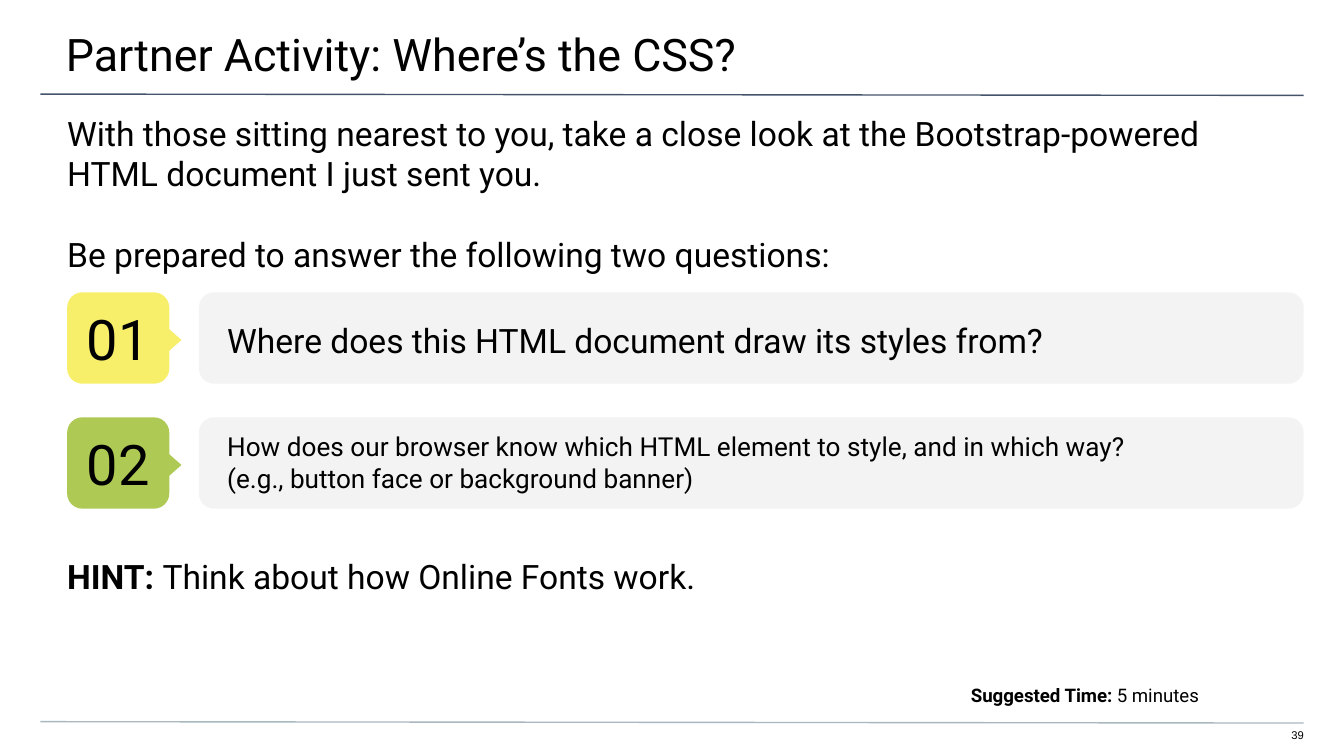
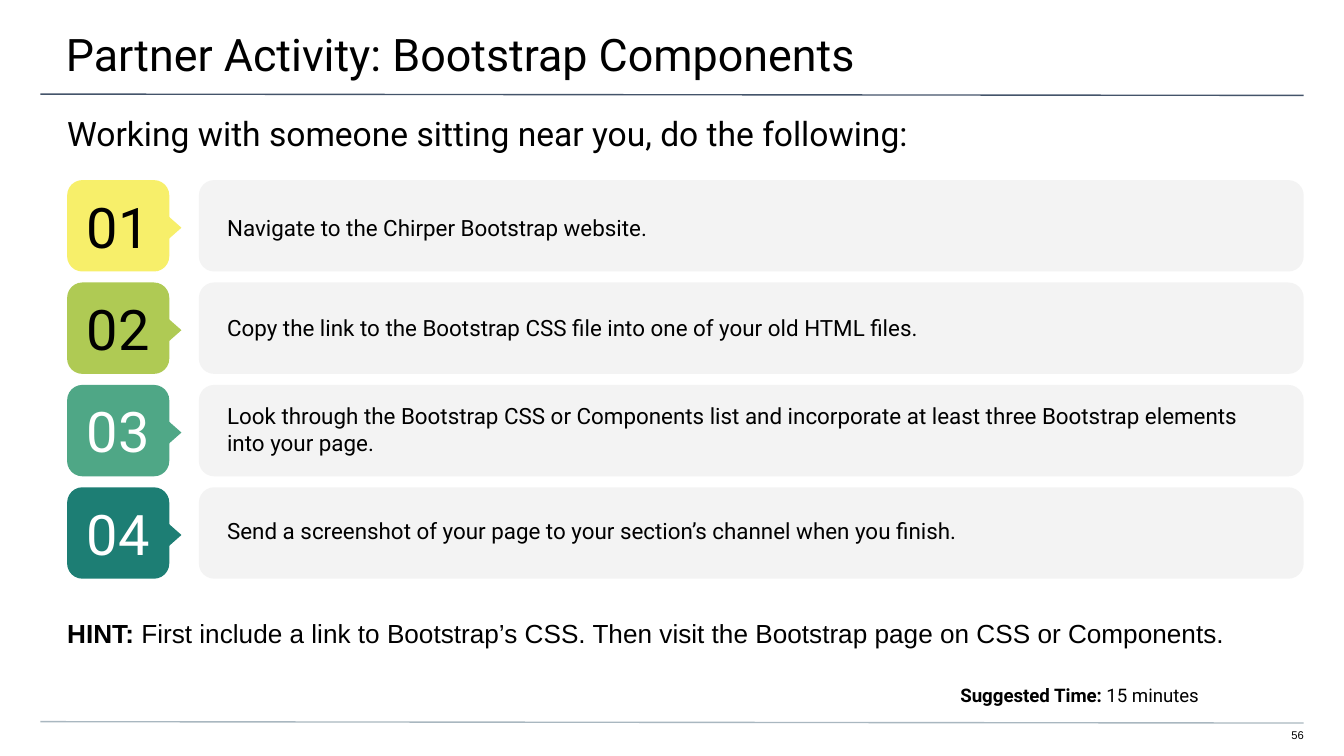
"""Build two partner activity slides with numbered steps."""
from lxml import etree
from pptx import Presentation
from pptx import util as u
from pptx.dml.color import RGBColor
from pptx.enum import shapes, text as t
from pptx.oxml.ns import qn

BLACK = RGBColor(0x00, 0x00, 0x00)
WHITE = RGBColor(0xFF, 0xFF, 0xFF)
GRAY = RGBColor(0xF3, 0xF3, 0xF3)
NAVY = RGBColor(0x44, 0x54, 0x6A)
MIST = RGBColor(0xA9, 0xB7, 0xC0)
YELLOW = RGBColor(0xF7, 0xEF, 0x6A)
LIME = RGBColor(0xAF, 0xCA, 0x54)
GREEN = RGBColor(0x4F, 0xA7, 0x86)
TEAL = RGBColor(0x1D, 0x7E, 0x74)
BADGES = [(YELLOW, BLACK), (LIME, BLACK), (GREEN, WHITE), (TEAL, WHITE)]

TOP, MID = t.MSO_ANCHOR.TOP, t.MSO_ANCHOR.MIDDLE
LEFT, CENTER, RIGHT = t.PP_ALIGN.LEFT, t.PP_ALIGN.CENTER, t.PP_ALIGN.RIGHT
ROUND = shapes.MSO_SHAPE.ROUNDED_RECTANGLE
ARROW = shapes.MSO_SHAPE.FLOWCHART_EXTRACT

deck = Presentation()
deck.slide_width = u.Inches(10)
deck.slide_height = deck.slide_width * 9 // 16
CELL = deck.slide_width / 100


def grid(*spans):
    """Turn grid cells, 100 to the slide's width, into lengths."""
    return [u.Emu(round(n * CELL)) for n in spans]


def text(page, spot, *lines, lead="", size=18, face="Roboto", color=BLACK,
         fill=None, align=LEFT, anchor=TOP, ins=(1, 1, 1, 1), gap=0):
    """Write lines in a text box, or in a rounded box if a fill is given."""
    if fill is None:
        box = page.shapes.add_textbox(*grid(*spot))
    else:
        box = page.shapes.add_shape(ROUND, *grid(*spot))
        box.shadow.inherit = False
        box.fill.solid()
        box.fill.fore_color.rgb = fill
        box.line.fill.background()
    frame = box.text_frame
    frame.word_wrap = True
    frame.vertical_anchor = anchor
    (frame.margin_left, frame.margin_top,
     frame.margin_right, frame.margin_bottom) = grid(*ins)
    for i, line in enumerate(lines):
        para = frame.paragraphs[0] if i == 0 else frame.add_paragraph()
        para.alignment = align
        if i:
            para.space_before = u.Pt(gap)
        for words, bold in ((lead if i == 0 else "", True), (line, False)):
            if words:
                run = para.add_run()
                run.text = words
                run.font.name, run.font.size = face, u.Pt(size)
                run.font.bold, run.font.color.rgb = bold, color


SLIDES = [
    dict(title="Partner Activity: Where’s the CSS?",
         intro=["With those sitting nearest to you, take a close look at the "
                "Bootstrap-powered HTML document I just sent you.",
                "Be prepared to answer the following two questions:"],
         top=21.75, step=9.3,
         steps=[(22, 18,
                 ["Where does this HTML document draw its styles from?"]),
                (31.1, 14,
                 ["How does our browser know which HTML element to style, "
                  "and in which way?",
                  "(e.g., button face or background banner)"])],
         hint="Think about how Online Fonts work.",
         look=dict(size=18), low=39.55, time="5 minutes", page="39"),
    dict(title="Partner Activity: Bootstrap Components",
         intro=["Working with someone sitting near you, do the following:"],
         top=13.4, step=7.62,
         steps=[(13.65, 12, ["Navigate to the Chirper Bootstrap website."]),
                (21.1, 12,
                 ["Copy the link to the Bootstrap CSS file into one of "
                  "your old HTML files."]),
                (28.6, 12,
                 ["Look through the Bootstrap CSS or Components list and "
                  "incorporate at least three Bootstrap elements into "
                  "your page."]),
                (36.15, 12,
                 ["Send a screenshot of your page to your section’s "
                  "channel when you finish."])],
         hint="First include a link to Bootstrap’s CSS. Then visit the "
              "Bootstrap page on CSS or Components.",
         look=dict(size=14, face="Arial"), low=43.8, time="15 minutes",
         page="56"),
]

for part in SLIDES:
    page = deck.slides.add_slide(deck.slide_layouts[6])
    for y, color in ((53.7, MIST), (7, NAVY)):
        rule = page.shapes.add_connector(
            shapes.MSO_CONNECTOR.STRAIGHT, *grid(3, y, 97, y + 0.1))
        rule.line.color.rgb, rule.line.width = color, u.Pt(0.75)
        etree.SubElement(rule._element.spPr, qn("a:effectLst"))
    text(page, (-0.1, 0, 100.3, 5.8), part["title"], size=24,
         ins=(5, 2, 3, 1))
    text(page, (0, 7.4, 100, 4), *part["intro"], ins=(5, 1, 5, 0), gap=21.5)
    for i, (high, size, lines) in enumerate(part["steps"]):
        y = part["top"] + i * part["step"]
        fill, ink = BADGES[i]
        text(page, (14.8, y, 82.2, 6.8), fill=GRAY)
        text(page, (5, y, 7.6, 6.8), f"{i + 1:02}", size=30, color=ink,
             fill=fill, align=CENTER, anchor=MID)
        tip = page.shapes.add_shape(ARROW, *grid(10.6, y + 2.5, 3.7, 2.1))
        tip.rotation = 90
        tip.shadow.inherit = False
        tip.fill.solid()
        tip.fill.fore_color.rgb = fill
        tip.line.fill.background()
        text(page, (-0.1, high, 100.3, 6.6), *lines, size=size, anchor=MID,
             ins=(17, 0, 5, 0))
    text(page, (0, part["low"], 97, 6.6), part["hint"], lead="HINT: ",
         anchor=MID, ins=(5, 0, 5, 0), **part["look"])
    text(page, (-0.1, 50.8, 100.3, 2.9), part["time"],
         lead="Suggested Time: ", size=10, align=RIGHT, ins=(12, 0.1, 11, 0))
    text(page, (94.1, 54.2, 2.9, 1.2), part["page"], size=6, face="Arial",
         align=RIGHT, ins=(0, 0, 0, 1))

deck.save("out.pptx")
